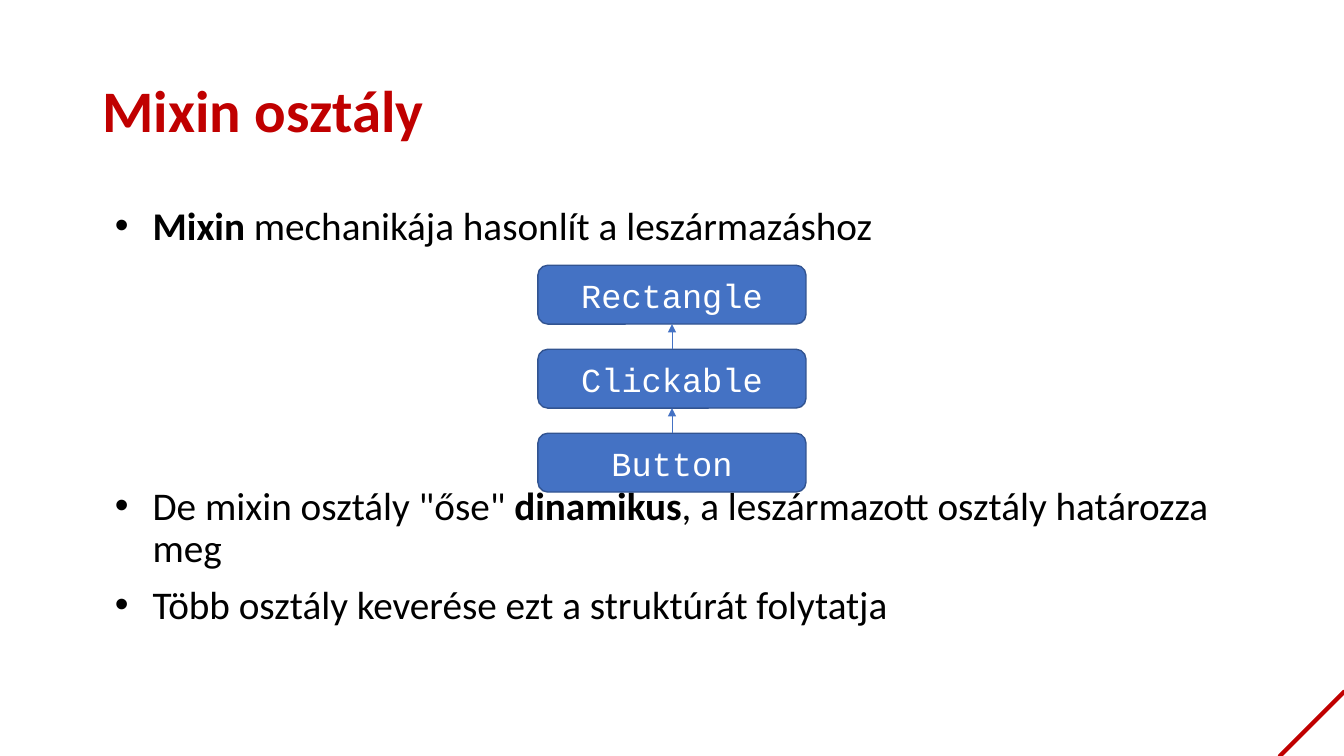
"""Builds the slide explaining how a mixin class resembles inheritance."""
from dataclasses import dataclass

from lxml import etree
from pptx import Presentation
from pptx import util as u
from pptx.dml.color import RGBColor
from pptx.enum import shapes, text
from pptx.oxml.ns import qn


@dataclass(frozen=True)
class Theme:
    red: str = "C00000"
    black: str = "000000"
    white: str = "FFFFFF"
    blue: str = "4472C4"
    outline: str = "325491"
    sans: str = "Calibri"
    mono: str = "Courier New"
    title_size: int = 42
    body_size: int = 28
    class_size: int = 24


theme = Theme()


def style_run(run, font_name, size, color, bold=False):
    run.font.name = font_name
    run.font.size = u.Pt(size)
    run.font.bold = bold
    run.font.color.rgb = RGBColor.from_string(color)


def style_line(line, color, width):
    line.color.rgb = RGBColor.from_string(color)
    line.width = u.Pt(width)


presentation = Presentation()
presentation.slide_width = u.Pt(960)
presentation.slide_height = u.Pt(540)
slide = presentation.slides.add_slide(presentation.slide_layouts[5])

corner_size = 64.8
corner = slide.shapes.add_shape(
    shapes.MSO_SHAPE.RECTANGLE,
    u.Pt(960 - corner_size / 2), u.Pt(540 - corner_size / 2),
    u.Pt(corner_size), u.Pt(corner_size))
corner.rotation = 45
corner.shadow.inherit = False
corner.fill.background()
style_line(corner.line, theme.red, 3)

title = slide.shapes.title
title.left, title.top, title.width, title.height = (
    u.Pt(66), u.Pt(28.75), u.Pt(828), u.Pt(104.4))
title.text_frame.text = "Mixin osztály"
title.text_frame.vertical_anchor = text.MSO_ANCHOR.MIDDLE
title.text_frame.auto_size = text.MSO_AUTO_SIZE.NONE
paragraph = title.text_frame.paragraphs[0]
paragraph.alignment = text.PP_ALIGN.LEFT
paragraph.line_spacing = 0.9
style_run(paragraph.runs[0], theme.sans, theme.title_size, theme.red, True)

bullets = [
    (10, [("Mixin", True), (" mechanikája hasonlít a leszármazáshoz", False)]),
    (170, [("De mixin osztály \"őse\" ", False), ("dinamikus", True),
           (", a leszármazott osztály határozza meg", False)]),
    (10, [("Több osztály keverése ezt a struktúrát folytatja", False)]),
]
body = slide.shapes.add_textbox(u.Pt(66), u.Pt(143.75), u.Pt(828), u.Pt(328.5))
body.text_frame.word_wrap = True
for index, (space_before, pieces) in enumerate(bullets):
    paragraph = (body.text_frame.add_paragraph() if index
                 else body.text_frame.paragraphs[0])
    paragraph.line_spacing = 0.9
    paragraph.space_before = u.Pt(space_before)
    properties = paragraph._p.get_or_add_pPr()
    properties.set("marL", str(u.Pt(36)))
    properties.set("indent", str(u.Pt(-27)))
    etree.SubElement(properties, qn("a:buFont"), typeface="Arial")
    etree.SubElement(properties, qn("a:buChar"), char="•")
    for wording, bold in pieces:
        run = paragraph.add_run()
        run.text = wording
        style_run(run, theme.sans, theme.body_size, theme.black, bold)

box_left, box_top, box_width, box_height, box_pitch = 384.25, 189.5, 191.5, 42, 60
for index, class_name in enumerate(["Rectangle", "Clickable", "Button"]):
    top = box_top + index * box_pitch
    box = slide.shapes.add_shape(
        shapes.MSO_SHAPE.ROUNDED_RECTANGLE,
        u.Pt(box_left), u.Pt(top), u.Pt(box_width), u.Pt(box_height))
    box.shadow.inherit = False
    box.fill.solid()
    box.fill.fore_color.rgb = RGBColor.from_string(theme.blue)
    style_line(box.line, theme.outline, 1)
    box.text_frame.text = class_name
    box.text_frame.vertical_anchor = text.MSO_ANCHOR.MIDDLE
    paragraph = box.text_frame.paragraphs[0]
    paragraph.alignment = text.PP_ALIGN.CENTER
    style_run(paragraph.runs[0], theme.mono, theme.class_size, theme.white)
    if index:
        arrow = slide.shapes.add_connector(
            shapes.MSO_CONNECTOR.STRAIGHT, 0, 0, 0, 0)
        arrow.begin_connect(box, 0)
        arrow.end_connect(parent_box, 2)
        style_line(arrow.line, theme.blue, 0.5)
        etree.SubElement(arrow.line._get_or_add_ln(), qn("a:tailEnd"), type="triangle")
        etree.SubElement(arrow._element.spPr, qn("a:effectLst"))
    parent_box = box

presentation.save("out.pptx")
